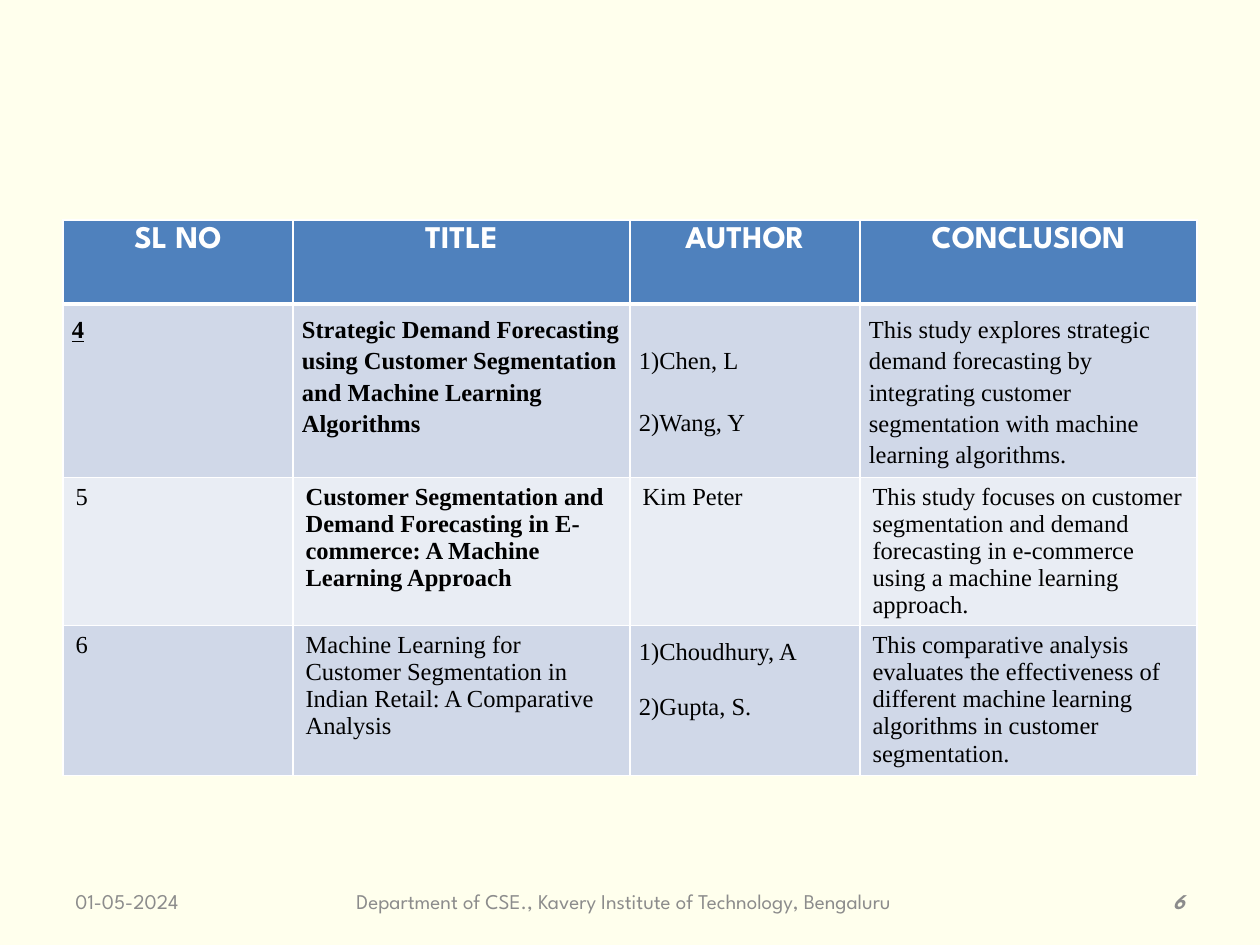
from lxml.etree import SubElement
from pptx import Presentation
from pptx.dml.color import RGBColor
from pptx.enum.text import MSO_ANCHOR, PP_ALIGN
from pptx.oxml.ns import qn
from pptx.util import Emu, Pt

PX = 914400 / 126
SERIF, SANS = "Times New Roman", "League Spartan"
WHITE, BLACK, GRAY = "FFFFFF", "000000", "8C8C8C"
HEADER_FILL, BAND_FILLS = "4F81BD", ("D0D8E8", "E9EDF4")


def px(length):
    return Emu(round(length * PX))


def write(paragraph, text, color, **font_format):
    run = paragraph.add_run()
    run.text = text
    run.font.color.rgb = RGBColor.from_string(color)
    for attribute, value in font_format.items():
        setattr(run.font, attribute, value)


prs = Presentation()
prs.slide_width, prs.slide_height = px(1260), px(945)
slide = prs.slides.add_slide(prs.slide_layouts[6])
background = slide.background.fill
background.solid()
background.fore_color.rgb = RGBColor.from_string("FFFFED")

# Literature survey: each cell holds a list of paragraphs
headings = ["SL NO", "TITLE", "AUTHOR", "CONCLUSION"]
papers = [
    ["4",
     "Strategic Demand Forecasting using Customer Segmentation and Machine Learning Algorithms",
     "1)Chen, L\n2)Wang, Y",
     "This study explores strategic demand forecasting by integrating customer "
     "segmentation with machine learning algorithms."],
    ["5",
     "Customer Segmentation and Demand Forecasting in E-commerce: A Machine Learning Approach",
     "Kim Peter",
     "This study focuses on customer segmentation and demand forecasting in "
     "e-commerce using a machine learning approach."],
    ["6",
     "Machine Learning for Customer Segmentation in Indian Retail: A Comparative Analysis",
     "1)Choudhury, A\n2)Gupta, S.",
     "This comparative analysis evaluates the effectiveness of different machine "
     "learning algorithms in customer segmentation."],
]
column_widths = [230, 337, 230, 337]
row_heights = [84, 173, 148, 150]
bold_cells = {(1, 0), (1, 1), (2, 1)}
loose_cells = {(1, 0), (1, 1), (1, 2), (1, 3), (3, 2)}
author_gaps = {1: 31, 3: 24}

survey = slide.shapes.add_table(
    4, 4, px(63), px(220), px(sum(column_widths)), px(sum(row_heights))).table
for column, width in zip(survey.columns, column_widths):
    column.width = px(width)
for row, height in zip(survey.rows, row_heights):
    row.height = px(height)

for r, entries in enumerate([headings] + papers):
    for c, entry in enumerate(entries):
        cell = survey.cell(r, c)
        cell_properties = cell._tc.get_or_add_tcPr()
        for side in "LRTB":
            thick = (r, side) in {(0, "B"), (1, "T")}
            border = SubElement(cell_properties, qn(f"a:ln{side}"), w=str(Pt(3 if thick else 1)))
            SubElement(SubElement(border, qn("a:solidFill")), qn("a:srgbClr"), val=WHITE)
        cell.fill.solid()
        cell.fill.fore_color.rgb = RGBColor.from_string(
            BAND_FILLS[(r - 1) % 2] if r else HEADER_FILL)

        loose = (r, c) in loose_cells
        if loose:
            for side in ("left", "right", "top", "bottom"):
                setattr(cell, f"margin_{side}", px(9))
        if (r, c) == (1, 2):
            cell.margin_top = px(40)

        for n, line in enumerate(entry.split("\n")):
            paragraph = cell.text_frame.add_paragraph() if n else cell.text_frame.paragraphs[0]
            if loose:
                paragraph.line_spacing = 1.15
            if n:
                paragraph.space_before = px(author_gaps[r])
            if r == 0:
                paragraph.alignment = PP_ALIGN.CENTER
                write(paragraph, line, WHITE, name=SANS, size=Pt(18), bold=True)
            else:
                write(paragraph, line, BLACK, name=SERIF, size=Pt(14),
                      bold=(r, c) in bold_cells, underline=(r, c) == (1, 0))

# Footer: date, department, page number
footer = [
    (63, 147, "01-05-2024", PP_ALIGN.LEFT, False),
    (262, 724, "Department of CSE., Kavery Institute of Technology, Bengaluru", PP_ALIGN.CENTER, False),
    (1040, 157, "6", PP_ALIGN.RIGHT, True),
]
for left, width, text, alignment, emphasis in footer:
    frame = slide.shapes.add_textbox(px(left), px(876), px(width), px(50)).text_frame
    frame.word_wrap = True
    frame.vertical_anchor = MSO_ANCHOR.MIDDLE
    frame.paragraphs[0].alignment = alignment
    write(frame.paragraphs[0], text, GRAY, name=SANS, size=Pt(12),
          bold=emphasis, italic=emphasis)

prs.save("out.pptx")
